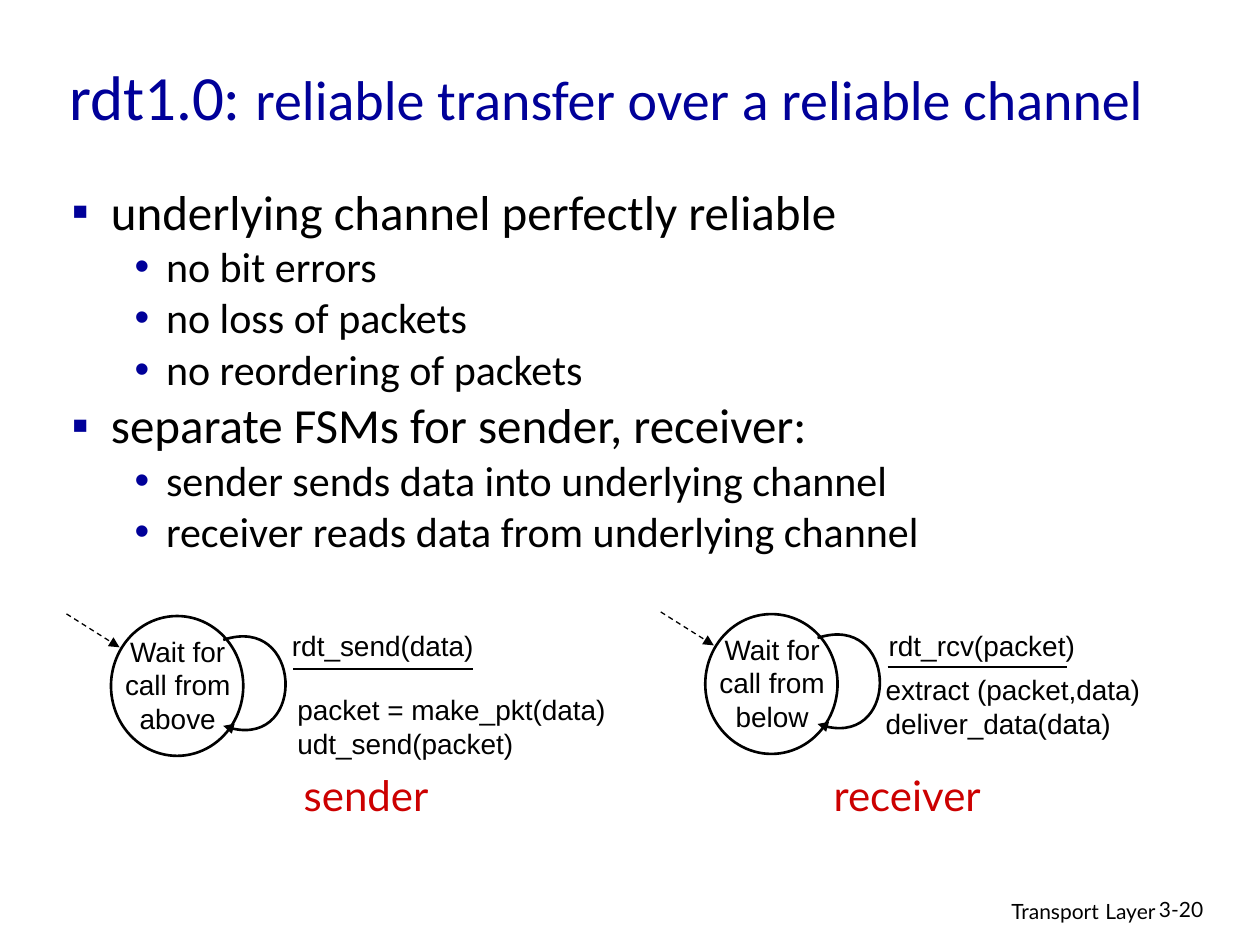
from lxml import etree
from pptx import Presentation, util as u
from pptx.dml.color import RGBColor
from pptx.enum import dml, shapes, text
from pptx.oxml.ns import qn

Pt = u.Pt
BLACK, NAVY, RED = "000000", "000099", "CC0000"
LEFT, MID, RIGHT = text.PP_ALIGN.LEFT, text.PP_ALIGN.CENTER, text.PP_ALIGN.RIGHT

deck = Presentation()
deck.slide_width, deck.slide_height = Pt(720), Pt(540)
slide = deck.slides.add_slide(deck.slide_layouts[6])
items = slide.shapes


def label(lines, x, y, w, h, font="Arial", size=16, color=BLACK, align=LEFT,
          wrap=True, anchor=text.MSO_ANCHOR.TOP):
    """Add a text box; each line is a string or a list of (text, size) runs."""
    frame = items.add_textbox(Pt(x), Pt(y), Pt(w), Pt(h)).text_frame
    frame.word_wrap, frame.vertical_anchor = wrap, anchor
    if not wrap:
        frame.auto_size = text.MSO_AUTO_SIZE.SHAPE_TO_FIT_TEXT
    for i, line in enumerate(lines):
        para = frame.paragraphs[0] if i == 0 else frame.add_paragraph()
        para.alignment = align
        for words, pts in [(line, size)] if isinstance(line, str) else line:
            run = para.add_run()
            run.text = words
            run.font.name, run.font.size = font, Pt(pts)
            run.font.color.rgb = RGBColor.from_string(color)
    return frame


def stroke(shape, width=1.5, arrow=False, dash=False):
    """Draw the outline in black, without shadow."""
    line = shape.line
    line.color.rgb = RGBColor.from_string(BLACK)
    line.width = Pt(width)
    if dash:
        line.dash_style = dml.MSO_LINE.DASH
    props = shape._element.spPr
    if arrow:
        etree.SubElement(props.find(qn("a:ln")), qn("a:tailEnd"), type="triangle")
    if props.find(qn("a:effectLst")) is None:
        etree.SubElement(props, qn("a:effectLst"))


# Footer
label([[("Transport", 12), (" ", 14), ("Layer", 12)]], 439.2, 507.6, 228.2, 22.3,
      font="Lato", align=RIGHT)
label(["3-20"], 655.2, 509, 53.3, 21.6, font="Lato", size=12)

# Title
label([[("rdt1.0: ", 36), ("reliable transfer over a reliable channel", 32)]],
      32.4, 15.1, 630, 79.2, font="Calibri", color=NAVY,
      anchor=text.MSO_ANCHOR.MIDDLE)

# Bullets: level and wording
points = [
    (0, "underlying channel perfectly reliable"),
    (1, "no bit errors"),
    (1, "no loss of packets"),
    (1, "no reordering of packets"),
    (0, "separate FSMs for sender, receiver:"),
    (1, "sender sends data into underlying channel"),
    (1, "receiver reads data from underlying channel"),
]
style = [(28, 22.5, 22.5, "▪"), (24, 54, 18, "•")]
body = label([[(words, style[level][0])] for level, words in points],
             33.8, 105.1, 622, 237.6, font="Calibri")
for i, (para, (level, words)) in enumerate(zip(body.paragraphs, points)):
    size, left, hang, mark = style[level]
    para.level = level
    props = para._p.get_or_add_pPr()
    props.set("marL", str(Pt(left)))
    props.set("indent", str(-Pt(hang)))
    tint = etree.SubElement(props, qn("a:buClr"))
    etree.SubElement(tint, qn("a:srgbClr"), val=NAVY)
    etree.SubElement(props, qn("a:buFont"), typeface="Arial")
    etree.SubElement(props, qn("a:buChar"), char=mark)
    para.line_spacing = 0.85
    if i:
        para.space_before = Pt(size * 0.2)

# State machines: state circle, loop, start arrow and event rule
for x, y, word in [(63.4, 352, "above"), (403, 350.9, "below")]:
    state = items.add_shape(shapes.MSO_SHAPE.OVAL, Pt(x), Pt(y), Pt(75.6), Pt(79.9))
    state.fill.solid()
    state.fill.fore_color.rgb = RGBColor.from_string("FFFFFF")
    state.shadow.inherit = False
    stroke(state)
    label([f"Wait for call from {word}"], x - 5, y + 6.9, 86.4, 72, align=MID)

    # The loop is one cubic curve through its control points
    ends = [(64.2, 13.7), (109.4, -1.4), (112.4, 80), (64.2, 62.8)]
    spots = [(Pt(x + a), Pt(y + b)) for a, b in ends]
    pen = items.build_freeform(*spots[0])
    pen.add_line_segments(spots[1:], close=False)
    loop = pen.convert_to_shape()
    route = loop._element.find(".//" + qn("a:path"))
    curve = etree.SubElement(route, qn("a:cubicBezTo"))
    for step in route.findall(qn("a:lnTo")):
        curve.append(step[0])
        route.remove(step)
    loop.fill.background()
    loop.shadow.inherit = False
    stroke(loop, arrow=True)

    rule = items.add_connector(shapes.MSO_CONNECTOR.STRAIGHT, Pt(x + 104.2),
                               Pt(y + 30.2), Pt(x + 206.6), Pt(y + 30.2))
    stroke(rule)
    start = items.add_connector(shapes.MSO_CONNECTOR.STRAIGHT, Pt(x - 25.4),
                                Pt(y - 1.2), Pt(x + 4.9), Pt(y + 17.9))
    stroke(start, width=0.75, arrow=True, dash=True)

# Events and actions
label(["rdt_send(data)"], 159.8, 355.7, 177.8, 33.8)
label(["packet = make_pkt(data)", "udt_send(packet)"], 162.9, 392.2, 211, 46.8)
label(["rdt_rcv(packet)"], 500.2, 355.7, 121.7, 26.6, align=MID, wrap=False)
label(["extract (packet,data)", "deliver_data(data)"], 499, 380.9, 195.8, 33.8)

# Captions
for word, x, w in [("sender", 166, 86.4), ("receiver", 468.4, 100)]:
    label([word], x, 436.3, w, 36, font="Lato", size=24, color=RED,
          align=MID, wrap=False)

deck.save("out.pptx")
